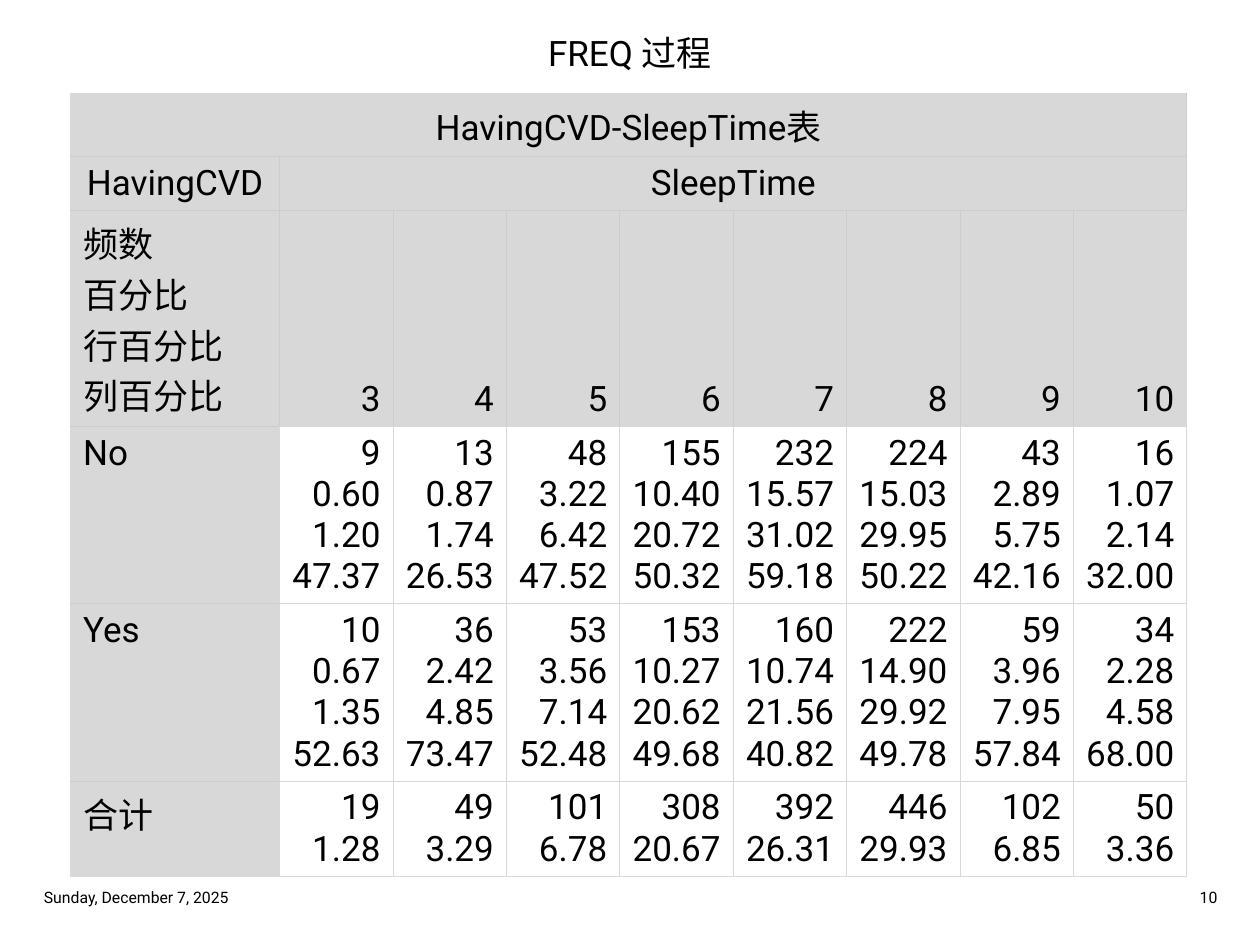
from dataclasses import dataclass

from lxml import etree
from pptx import Presentation
from pptx.dml.color import RGBColor
from pptx.enum import text
from pptx.oxml import ns
from pptx.util import Inches, Pt

FONT = "Roboto"
COLORS = {"ink": "000000", "header": "D8D8D8", "edge": "D8D8D8", "inner": "CCCCCC"}
LEFT, CENTER, RIGHT = text.PP_ALIGN.LEFT, text.PP_ALIGN.CENTER, text.PP_ALIGN.RIGHT
TOP, MIDDLE, BOTTOM = text.MSO_ANCHOR.TOP, text.MSO_ANCHOR.MIDDLE, text.MSO_ANCHOR.BOTTOM

COLUMN_WIDTHS = [1.66] + [0.9] * 8
ROW_HEIGHTS = [0.42, 0.42, 1.25, 1.25, 1.25, 0.69]
HEADER_ROWS = 3


@dataclass
class Group:
    label: str
    measures: list[str]


@dataclass
class Footer:
    label: str
    left: float
    alignment: text.PP_ALIGN


SLEEP_TIMES = "3 4 5 6 7 8 9 10"
GROUPS = [
    Group("No", [
        "9 13 48 155 232 224 43 16",
        "0.60 0.87 3.22 10.40 15.57 15.03 2.89 1.07",
        "1.20 1.74 6.42 20.72 31.02 29.95 5.75 2.14",
        "47.37 26.53 47.52 50.32 59.18 50.22 42.16 32.00",
    ]),
    Group("Yes", [
        "10 36 53 153 160 222 59 34",
        "0.67 2.42 3.56 10.27 10.74 14.90 3.96 2.28",
        "1.35 4.85 7.14 20.62 21.56 29.92 7.95 4.58",
        "52.63 73.47 52.48 49.68 40.82 49.78 57.84 68.00",
    ]),
    Group("合计", [
        "19 49 101 308 392 446 102 50",
        "1.28 3.29 6.78 20.67 26.31 29.93 6.85 3.36",
    ]),
]
FOOTERS = [Footer("Sunday, December 7, 2025", 0.25, LEFT), Footer("10", 7.38, RIGHT)]


def write(frame, content: str, size: int, alignment: text.PP_ALIGN) -> None:
    frame.text = content
    paragraph = frame.paragraphs[0]
    paragraph.alignment = alignment
    paragraph.font.name = FONT
    paragraph.font.size = Pt(size)
    paragraph.font.bold = False
    paragraph.font.color.rgb = RGBColor.from_string(COLORS["ink"])


def add_border(cell, side: str, color: str) -> None:
    properties = cell._tc.get_or_add_tcPr()
    line = etree.SubElement(properties, ns.qn(f"a:ln{side}"), w=str(Pt(0.5)))
    fill = etree.SubElement(line, ns.qn("a:solidFill"))
    etree.SubElement(fill, ns.qn("a:srgbClr"), val=color)


def format_cell(cell, row: int, column: int) -> None:
    is_header = row < HEADER_ROWS or column == 0
    outer_sides = {
        "L": column == 0,
        "R": column == len(COLUMN_WIDTHS) - 1,
        "T": row == 0,
        "B": row == len(ROW_HEIGHTS) - 1,
    }
    for side, is_outer in outer_sides.items():
        add_border(cell, side, COLORS["inner" if is_header and not is_outer else "edge"])
    if is_header:
        cell.fill.solid()
        cell.fill.fore_color.rgb = RGBColor.from_string(COLORS["header"])
    else:
        cell.fill.background()


def fill_cell(cell, content: str, alignment: text.PP_ALIGN, anchor: text.MSO_ANCHOR = TOP) -> None:
    write(cell.text_frame, content, 20, alignment)
    cell.vertical_anchor = anchor


def add_frequency_table(slide) -> None:
    table = slide.shapes.add_table(
        len(ROW_HEIGHTS), len(COLUMN_WIDTHS), Inches(0.56), Inches(0.74),
        Inches(sum(COLUMN_WIDTHS)), Inches(sum(ROW_HEIGHTS)),
    ).table
    table.first_row = table.horz_banding = False
    for column, width in zip(table.columns, COLUMN_WIDTHS):
        column.width = Inches(width)
    for row, height in zip(table.rows, ROW_HEIGHTS):
        row.height = Inches(height)
    for row in range(len(ROW_HEIGHTS)):
        for column in range(len(COLUMN_WIDTHS)):
            format_cell(table.cell(row, column), row, column)

    last_column = len(COLUMN_WIDTHS) - 1
    table.cell(0, 0).merge(table.cell(0, last_column))
    table.cell(1, 1).merge(table.cell(1, last_column))
    fill_cell(table.cell(0, 0), "HavingCVD-SleepTime表", CENTER)
    fill_cell(table.cell(1, 0), "HavingCVD", CENTER, BOTTOM)
    fill_cell(table.cell(1, 1), "SleepTime", CENTER, BOTTOM)
    fill_cell(table.cell(2, 0), "频数\v百分比\v行百分比\v列百分比", LEFT)
    for column, sleep_time in enumerate(SLEEP_TIMES.split(), 1):
        fill_cell(table.cell(2, column), sleep_time, RIGHT, BOTTOM)
    for row, group in enumerate(GROUPS, HEADER_ROWS):
        fill_cell(table.cell(row, 0), group.label, LEFT)
        values = zip(*(measure.split() for measure in group.measures))
        for column, stack in enumerate(values, 1):
            fill_cell(table.cell(row, column), "\v".join(stack), RIGHT)


def add_title(slide) -> None:
    title = slide.shapes.title
    title.left, title.top = Inches(0.25), Inches(0.25)
    title.width, title.height = Inches(9.5), Inches(0.42)
    frame = title.text_frame
    frame.margin_top = frame.margin_bottom = 0
    frame.vertical_anchor = TOP
    frame.auto_size = text.MSO_AUTO_SIZE.NONE
    write(frame, "FREQ 过程", 20, CENTER)


def add_footer(slide, footer: Footer) -> None:
    box = slide.shapes.add_textbox(Inches(footer.left), Inches(6.99), Inches(2.38), Inches(0.26))
    frame = box.text_frame
    frame.word_wrap = True
    frame.vertical_anchor = MIDDLE
    write(frame, footer.label, 9, footer.alignment)


def main() -> None:
    presentation = Presentation()
    presentation.slide_width, presentation.slide_height = Inches(10), Inches(7.5)
    slide = presentation.slides.add_slide(presentation.slide_layouts[5])
    add_title(slide)
    add_frequency_table(slide)
    for footer in FOOTERS:
        add_footer(slide, footer)
    presentation.save("out.pptx")


if __name__ == "__main__":
    main()
